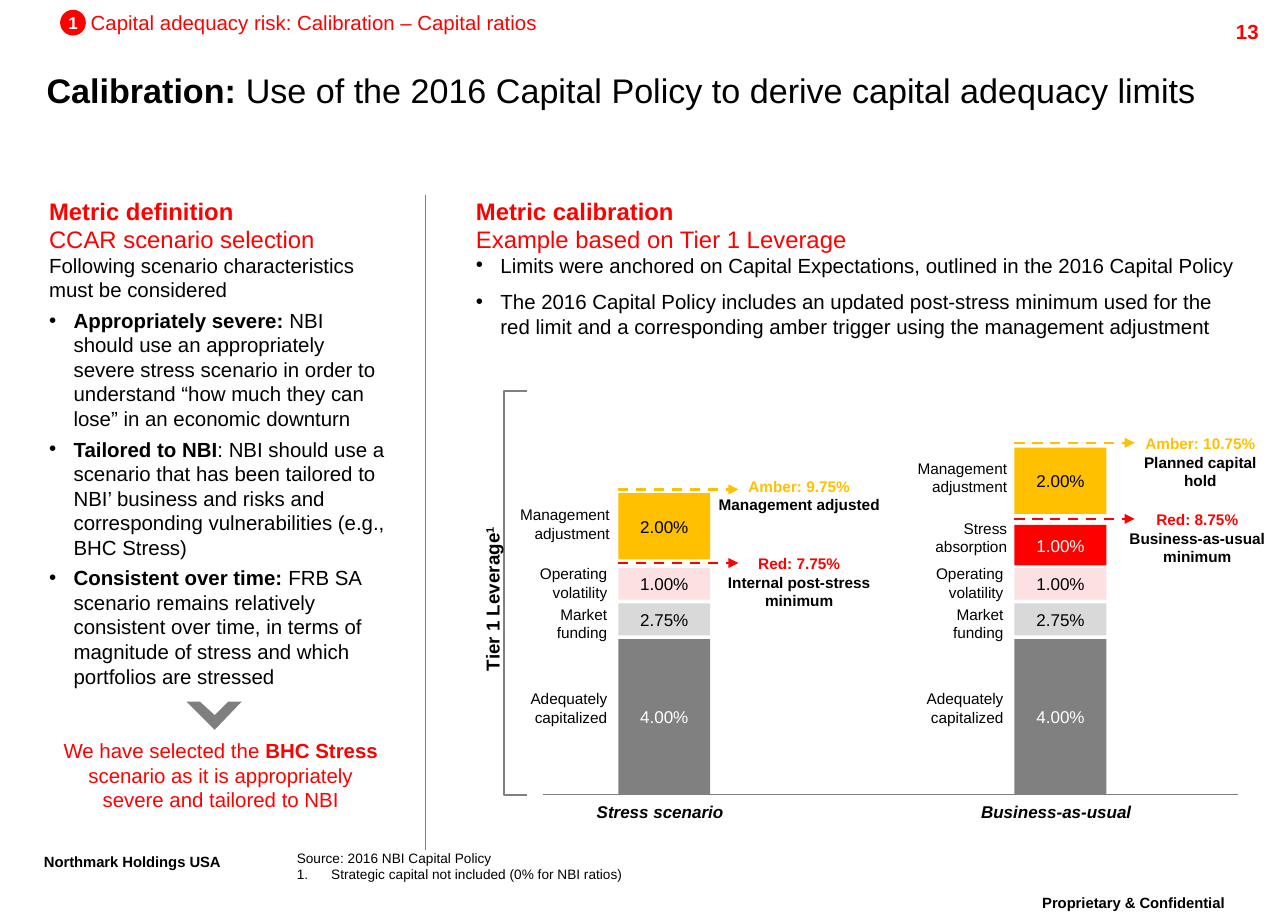
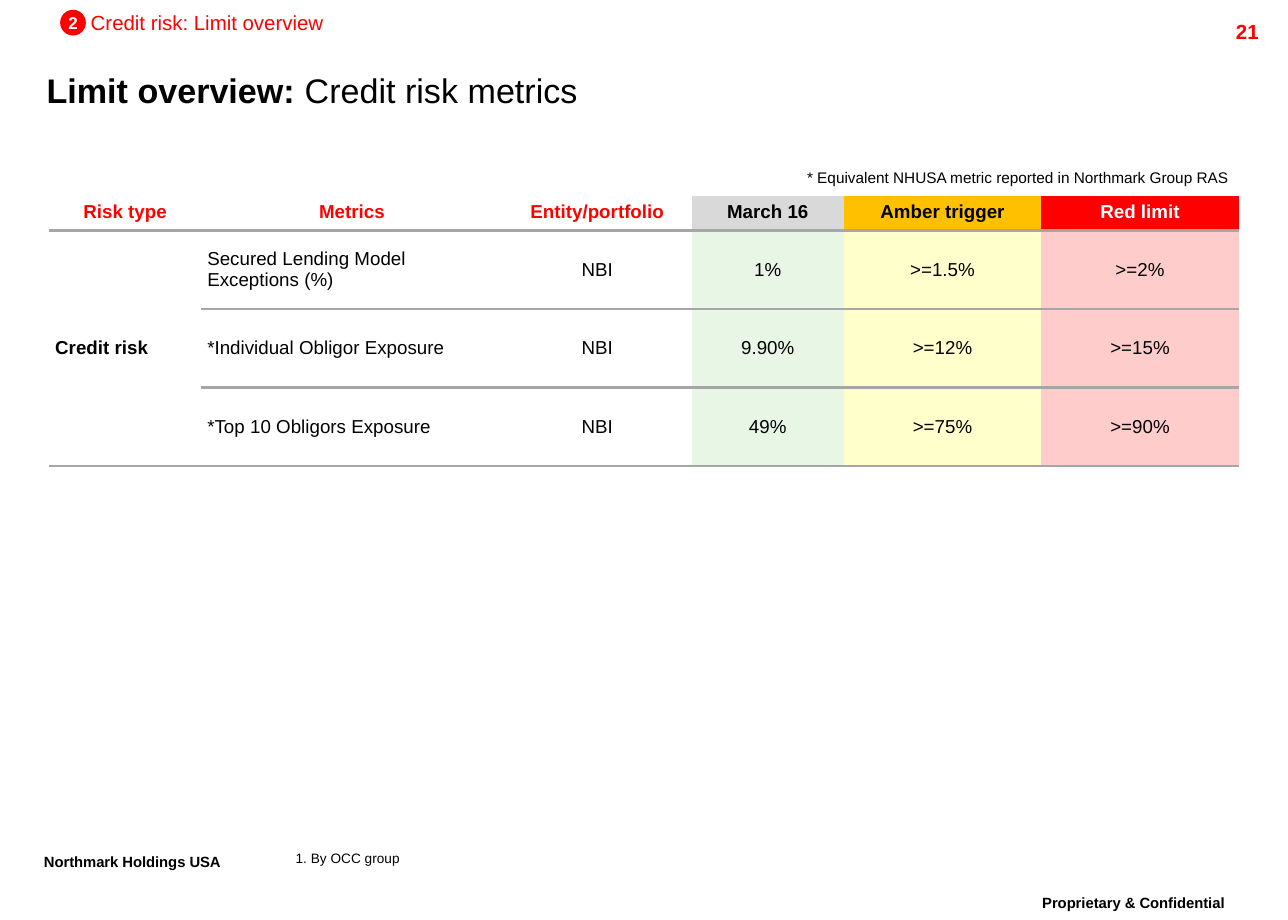
from dataclasses import dataclass
from typing import Any, Optional

from lxml import etree
from pptx import Presentation
from pptx import util as u
from pptx.dml.color import RGBColor
from pptx.enum import dml, shapes, text
from pptx.oxml.ns import qn

PX = 9144
COLORS = {
    "black": "000000", "white": "FFFFFF", "red": "FF0000", "amber": "FFC000",
    "gray": "808080", "rule": "7F7F7F", "silver": "D9D9D9", "pink": "FCE0E2",
    "border": "A6A6A6", "pale_green": "E8F6E6", "pale_yellow": "FFFFCC",
    "pale_red": "FFCCCC",
}
ALIGN = {"l": text.PP_ALIGN.LEFT, "c": text.PP_ALIGN.CENTER, "r": text.PP_ALIGN.RIGHT}
TOP, MIDDLE = text.MSO_ANCHOR.TOP, text.MSO_ANCHOR.MIDDLE
NO_STYLE = "{2D5ABB26-0587-4C30-8999-92F81FD0307C}"
BAR_WIDTH, LABEL_WIDTH, ARROW_LENGTH, AXIS_Y = 75, 81, 98, 648
Box = tuple[int, int, int, int]


@dataclass(frozen=True)
class Run:
    text: str
    bold: bool = False
    italic: bool = False
    color: str = "black"
    size: int = 12
    baseline: int = 0


@dataclass(frozen=True)
class Para:
    runs: tuple[Run, ...]
    align: str = "l"
    before: float = 0
    spacing: float = 1.0
    bullet: str = ""
    indent: int = 0


@dataclass(frozen=True)
class Segment:
    label: str
    value: str
    top: int
    height: int
    label_top: int
    fill: str
    color: str = "black"
    label_gap: int = 9


@dataclass(frozen=True)
class Callout:
    lines: tuple[str, ...]
    color: str
    arrow_y: int
    box: Box


@dataclass(frozen=True)
class Column:
    name: str
    left: int
    segments: tuple[Segment, ...]
    callouts: tuple[Callout, ...]


@dataclass(frozen=True)
class TableColumn:
    width: int
    header: str
    color: str
    header_fill: Optional[str]
    fill: Optional[str]
    align: str
    values: tuple[str, ...]


BASE = (
    Segment("Operating volatility", "1.00%", 463, 26, 460, "pink"),
    Segment("Market funding", "2.75%", 492, 26, 493, "silver"),
    Segment("Adequately capitalized", "4.00%", 521, 127, 562, "gray", "white"),
)
COLUMNS = (
    Column("Stress scenario", 504, (
        Segment("Management adjustment", "2.00%", 402, 54, 412, "amber", label_gap=7),
    ) + BASE, (
        Callout(("Amber: 9.75%", "Management adjusted"), "amber", 399, (565, 389, 173, 30)),
        Callout(("Red: 7.75%", "Internal post-stress minimum"), "red", 459, (565, 452, 173, 45)),
    )),
    Column("Business-as-usual", 827, (
        Segment("Management adjustment", "2.00%", 365, 54, 374, "amber", label_gap=6),
        Segment("Stress absorption", "1.00%", 428, 33, 423, "red", "white", 6),
    ) + BASE, (
        Callout(("Amber: 10.75%", "Planned capital", "hold"), "amber", 361, (892, 354, 173, 45)),
        Callout(("Red: 8.75%", "Business-as-usual minimum"), "red", 423, (912, 416, 128, 45)),
    )),
)
TABLE = (
    TableColumn(124, "Risk type", "red", None, None, "l", ("Credit risk", "", "")),
    TableColumn(246, "Metrics", "red", None, None, "l", (
        "Secured Lending Model Exceptions (%)", "*Individual Obligor Exposure",
        "*Top 10 Obligors Exposure")),
    TableColumn(154, "Entity/portfolio", "red", None, None, "c", ("NBI",) * 3),
    TableColumn(124, "March 16", "black", "silver", "pale_green", "c", ("1%", "9.90%", "49%")),
    TableColumn(161, "Amber trigger", "black", "amber", "pale_yellow", "c",
                (">=1.5%", ">=12%", ">=75%")),
    TableColumn(161, "Red limit", "white", "red", "pale_red", "c", (">=2%", ">=15%", ">=90%")),
)
CRITERIA = (
    ("Appropriately severe:", " NBI should use an appropriately severe stress scenario in order "
     "to understand “how much they can lose” in an economic downturn"),
    ("Tailored to NBI", ": NBI should use a scenario that has been tailored to NBI’ business "
     "and risks and corresponding vulnerabilities (e.g., BHC Stress)"),
    ("Consistent over time: ", "FRB SA scenario remains relatively consistent over time, in "
     "terms of magnitude of stress and which portfolios are stressed"),
)
LIMITS = (
    "Limits were anchored on Capital Expectations, outlined in the 2016 Capital Policy",
    "The 2016 Capital Policy includes an updated post-stress minimum used for the red limit "
    "and a corresponding amber trigger using the management adjustment",
)


def rgb(name: str) -> RGBColor:
    return RGBColor.from_string(COLORS[name])


def assign(target: Any, values: dict[str, Any]) -> None:
    for name, value in values.items():
        setattr(target, name, value)


def paint(fill: Any, color: Optional[str]) -> None:
    if color is None:
        fill.background()
    else:
        fill.solid()
        fill.fore_color.rgb = rgb(color)


def single(words: str, align: str = "l", spacing: float = 1.0, **style: Any) -> Para:
    return Para((Run(words, **style),), align, spacing=spacing)


def add_bullet(p: Any, bullet: str, indent: int) -> None:
    pPr = p._p.get_or_add_pPr()
    pPr.set("marL", str(indent * PX))
    pPr.set("indent", str(-indent * PX))
    if bullet == "none":
        etree.SubElement(pPr, qn("a:buNone"))
    elif bullet == "number":
        etree.SubElement(pPr, qn("a:buAutoNum"), type="arabicPeriod")
    else:
        etree.SubElement(pPr, qn("a:buFont"), typeface="Arial")
        etree.SubElement(pPr, qn("a:buChar"), char=bullet)


def write(tf: Any, paras: list[Para]) -> None:
    for i, para in enumerate(paras):
        p = tf.add_paragraph() if i else tf.paragraphs[0]
        if para.bullet:
            add_bullet(p, para.bullet, para.indent)
        assign(p, {"alignment": ALIGN[para.align], "space_before": u.Pt(para.before),
                   "line_spacing": para.spacing})
        for run in para.runs:
            r = p.add_run()
            r.text = run.text
            assign(r.font, {"name": "Arial", "size": u.Pt(run.size), "bold": run.bold,
                            "italic": run.italic})
            r.font.color.rgb = rgb(run.color)
            if run.baseline:
                r._r.get_or_add_rPr().set("baseline", str(run.baseline))


def fill_frame(sp: Any, paras: list[Para], anchor: Any = TOP, inset: bool = False) -> None:
    tf = sp.text_frame
    assign(tf, {"word_wrap": True, "auto_size": text.MSO_AUTO_SIZE.NONE, "vertical_anchor": anchor})
    if not inset:
        assign(tf, dict.fromkeys(("margin_left", "margin_top", "margin_right", "margin_bottom"), 0))
    write(tf, paras)


def add_text(s: Any, box: Box, paras: list[Para], inset: bool = False) -> Any:
    sp = s.shapes.add_textbox(*(v * PX for v in box))
    fill_frame(sp, paras, inset=inset)
    return sp


def fill_placeholder(sp: Any, box: Box, paras: list[Para], anchor: Any = TOP) -> None:
    assign(sp, dict(zip(("left", "top", "width", "height"), (v * PX for v in box))))
    fill_frame(sp, paras, anchor)


def add_shape(s: Any, kind: Any, box: Box, fill: str, para: Para) -> None:
    sp = s.shapes.add_shape(kind, *(v * PX for v in box))
    sp.shadow.inherit = False
    paint(sp.fill, fill)
    sp.line.fill.background()
    fill_frame(sp, [para], MIDDLE)


def add_line(s: Any, start: tuple[int, int], end: tuple[int, int], color: str = "rule",
             width: float = 0.75, arrow: bool = False) -> None:
    line = s.shapes.add_connector(shapes.MSO_CONNECTOR.STRAIGHT,
                                  *(v * PX for v in start + end))
    line.line.color.rgb = rgb(color)
    line.line.width = u.Pt(width)
    if arrow:
        line.line.dash_style = dml.MSO_LINE.DASH
        etree.SubElement(line.line._get_or_add_ln(), qn("a:tailEnd"), type="triangle")
    etree.SubElement(line._element.spPr, qn("a:effectLst"))


def add_slide(prs: Any, layout: int, number: str, page: str, topic: str,
              lead: str, title: str) -> Any:
    s = prs.slides.add_slide(prs.slide_layouts[layout])
    fill_placeholder(s.shapes.title, (38, 49, 948, 48),
                     [Para((Run(lead, True, size=20), Run(title, size=20)))], MIDDLE)
    footer = {"size": 15, "bold": True, "baseline": 30000, "spacing": 0.86}
    add_text(s, (815, 725, 218, 35), [single("Proprietary & Confidential", "c", **footer)], True)
    add_text(s, (26, 691, 191, 35), [single("Northmark Holdings USA", **footer)], True)
    add_text(s, (936, 11, 100, 24), [single(page, "r", bold=True, color="red")], True)
    add_text(s, (74, 8, 500, 20), [single(topic, color="red")])
    add_shape(s, shapes.MSO_SHAPE.OVAL, (49, 8, 21, 21), "red",
              single(number, "c", bold=True, color="white", size=10))
    return s


def add_heading(s: Any, left: int, head: str, sub: str) -> None:
    add_text(s, (left, 160, 400, 47), [single(head, bold=True, color="red", size=14),
                                      single(sub, color="red", size=14)])


def draw_column(s: Any, column: Column) -> None:
    x = column.left
    for seg in column.segments:
        add_shape(s, shapes.MSO_SHAPE.RECTANGLE, (x, seg.top, BAR_WIDTH, seg.height), seg.fill,
                  single(seg.value, "c", color=seg.color, size=10))
        add_text(s, (x - seg.label_gap - LABEL_WIDTH, seg.label_top, LABEL_WIDTH, 30),
                 [single(seg.label, "r", size=9)])
    for note in column.callouts:
        y = note.arrow_y
        add_line(s, (x, y), (x + ARROW_LENGTH, y), note.color, 1.5, True)
        add_text(s, note.box, [single(line, "c", bold=True, size=9,
                                      color="black" if i else note.color)
                               for i, line in enumerate(note.lines)])
    add_text(s, (x - 29, 653, 126, 17), [single(column.name, "c", bold=True, italic=True, size=10)])


def build_calibration(prs: Any) -> None:
    s = add_slide(prs, 3, "1", "13", "Capital adequacy risk: Calibration – Capital ratios",
                  "Calibration: ", "Use of the 2016 Capital Policy to derive capital adequacy limits")
    add_heading(s, 40, "Metric definition", "CCAR scenario selection")
    add_heading(s, 388, "Metric calibration", "Example based on Tier 1 Leverage")
    intro = Para((Run("Following scenario characteristics must be considered"),), bullet="none")
    criteria = [Para((Run(lead, True), Run(rest)), before=3.6, bullet="•", indent=20)
                for lead, rest in CRITERIA]
    limits = [Para((Run(words),), before=7 if i else 0, bullet="•", indent=20)
              for i, words in enumerate(LIMITS)]
    fill_placeholder(s.placeholders[1], (40, 206, 275, 361), [intro] + criteria)
    fill_placeholder(s.placeholders[2], (388, 206, 623, 70), limits)
    builder = s.shapes.build_freeform(197, 572, scale=PX)
    builder.add_line_segments([(186, 572), (175, 583), (163, 572), (152, 572), (175, 595)])
    arrow = builder.convert_to_shape()
    arrow.shadow.inherit = False
    paint(arrow.fill, "rule")
    arrow.line.fill.background()
    add_text(s, (40, 597, 280, 71), [Para((
        Run("We have selected the ", color="red"), Run("BHC Stress ", True, color="red"),
        Run("scenario as it is appropriately severe and tailored to NBI", color="red")), "c")], True)
    add_line(s, (347, 159), (347, 693))
    bracket = s.shapes.add_shape(shapes.MSO_SHAPE.LEFT_BRACKET,
                                 *(v * PX for v in (411, 319, 19, 329)))
    bracket.shadow.inherit = False
    bracket.adjustments[0] = 0
    bracket.fill.background()
    bracket.line.color.rgb = rgb("gray")
    bracket.line.width = u.Pt(1)
    axis = add_text(s, (237, 474, 329, 29), [Para((
        Run("Tier 1 Leverage", True, size=11), Run("1", True, size=11, baseline=30000)), "c")], True)
    axis.rotation = 270
    for column in COLUMNS:
        draw_column(s, column)
    add_line(s, (443, AXIS_Y), (1009, AXIS_Y))
    add_text(s, (242, 693, 606, 27), [
        single("Source: 2016 NBI Capital Policy", size=8),
        Para((Run("Strategic capital not included (0% for NBI ratios)", size=8),),
             bullet="number", indent=28)])


def format_cell(cell: Any, para: Para, fill: Optional[str], ruled: bool) -> None:
    if ruled:
        ln = etree.Element(qn("a:lnB"), w=str(u.Pt(1.5)))
        solid = etree.SubElement(ln, qn("a:solidFill"))
        etree.SubElement(solid, qn("a:srgbClr"), val=COLORS["border"])
        cell._tc.get_or_add_tcPr().insert(0, ln)
    paint(cell.fill, fill)
    assign(cell, dict.fromkeys(("margin_left", "margin_top", "margin_right", "margin_bottom"), 5 * PX))
    cell.vertical_anchor = MIDDLE
    if para.runs[0].text:
        write(cell.text_frame, [para])


def build_limits(prs: Any) -> None:
    s = add_slide(prs, 5, "2", "21", "Credit risk: Limit overview",
                  "Limit overview: ", "Credit risk metrics")
    frame = s.shapes.add_table(4, len(TABLE), *(v * PX for v in (40, 160, 970, 220)))
    tbl = frame.table
    assign(tbl, {"first_row": False, "horz_banding": False})
    tbl._tbl.tblPr.find(qn("a:tableStyleId")).text = NO_STYLE
    for row, height in zip(tbl.rows, (28, 64, 64, 64)):
        row.height = height * PX
    tbl.cell(1, 0).merge(tbl.cell(3, 0))
    for c, col in enumerate(TABLE):
        tbl.columns[c].width = col.width * PX
        format_cell(tbl.cell(0, c), single(col.header, "c", 0.86, bold=True, color=col.color, size=11),
                    col.header_fill, True)
        for r, value in enumerate(col.values, 1):
            format_cell(tbl.cell(r, c), single(value, col.align, bold=c == 0, size=11),
                        col.fill, c > 0 or r != 2)
    add_text(s, (611, 134, 400, 23), [single(
        "* Equivalent NHUSA metric reported in Northmark Group RAS", "r", 0.86, size=9)], True)
    add_text(s, (241, 693, 745, 13), [single("1. By OCC group", size=8)])


def main() -> None:
    prs = Presentation()
    assign(prs, {"slide_width": 1050 * PX, "slide_height": 750 * PX})
    build_calibration(prs)
    build_limits(prs)
    prs.save("out.pptx")


if __name__ == "__main__":
    main()
